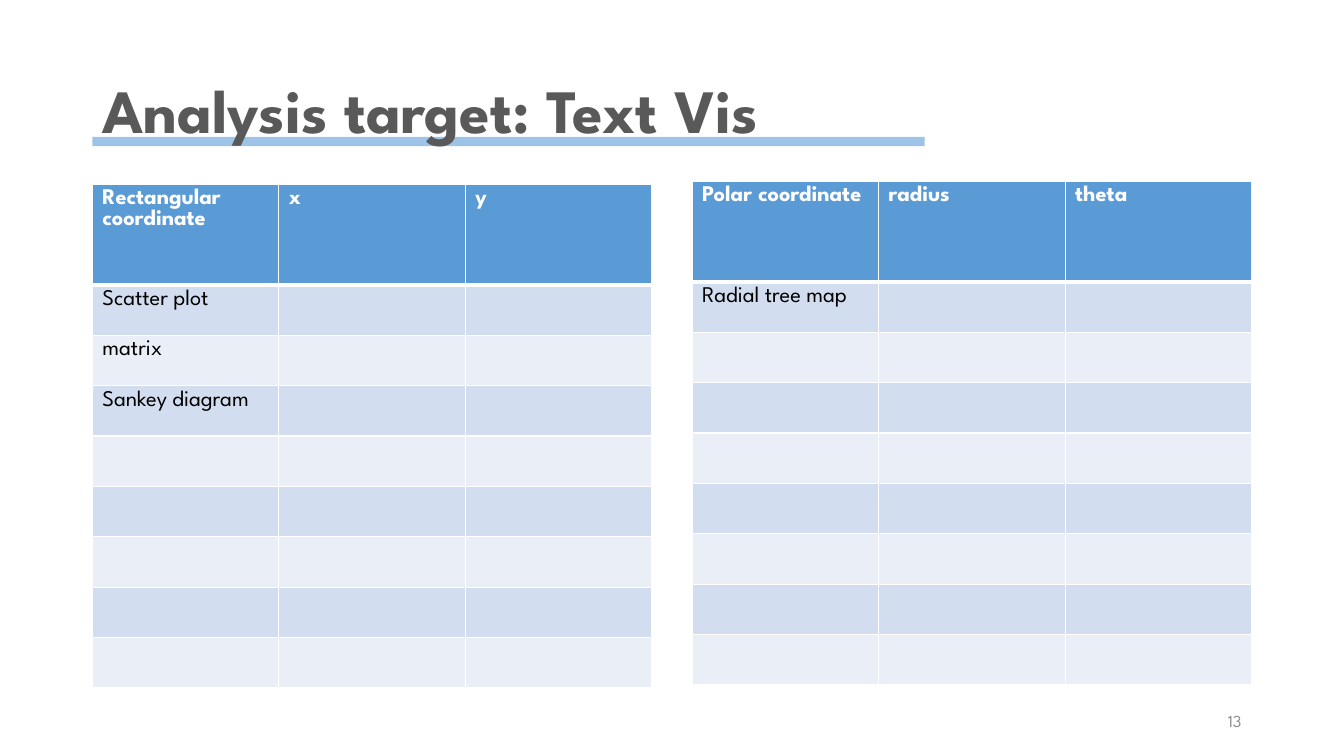
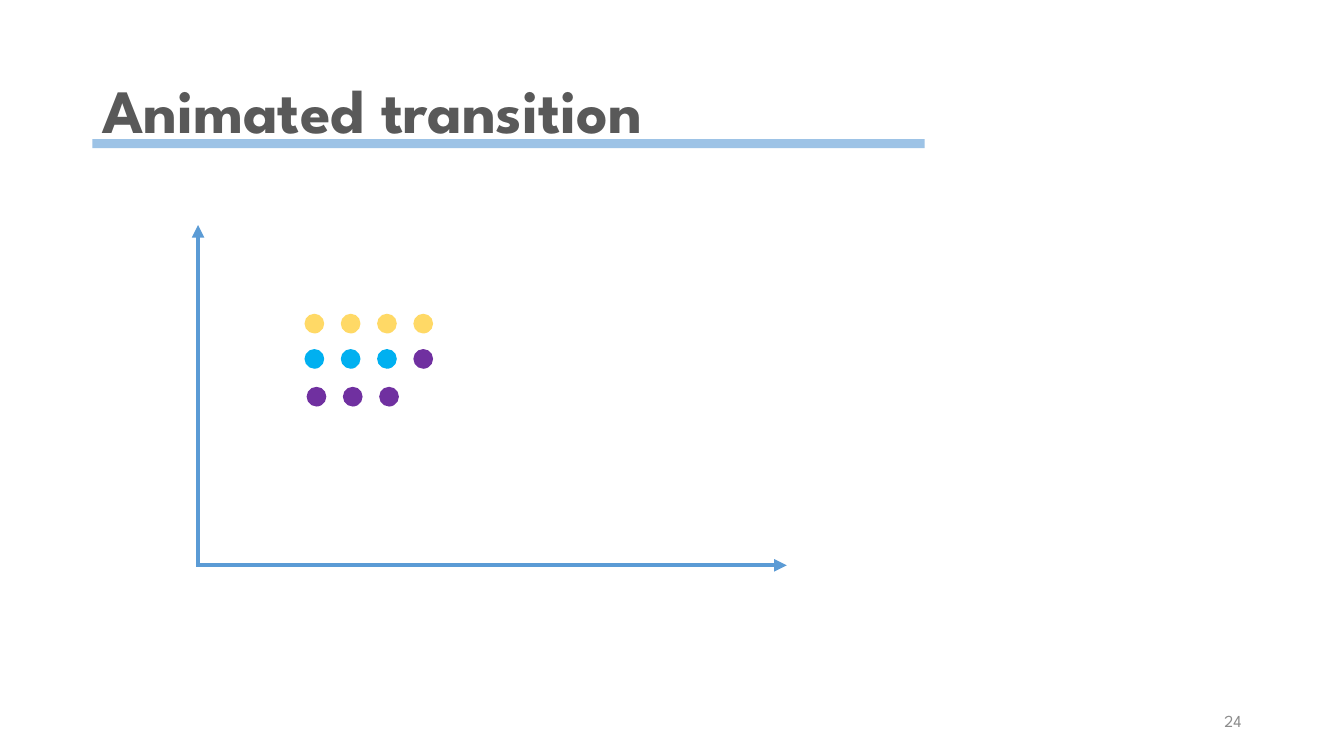
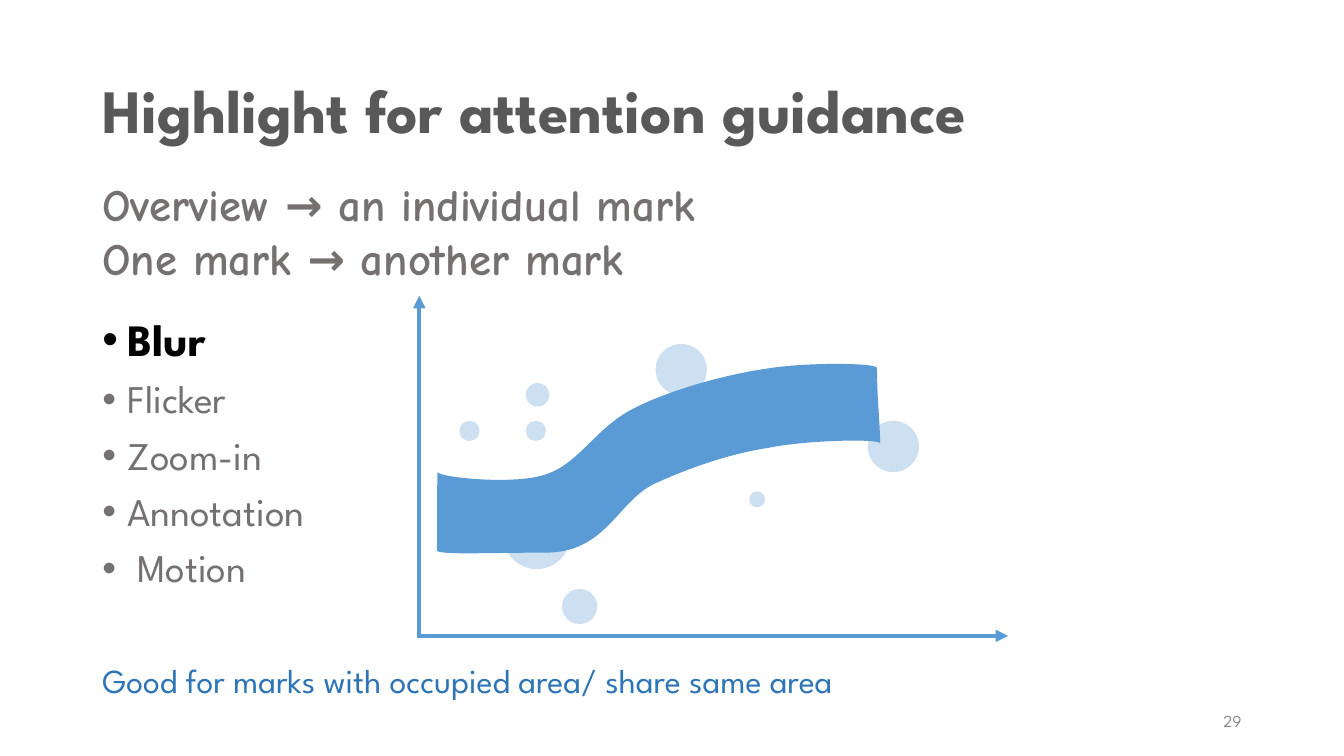
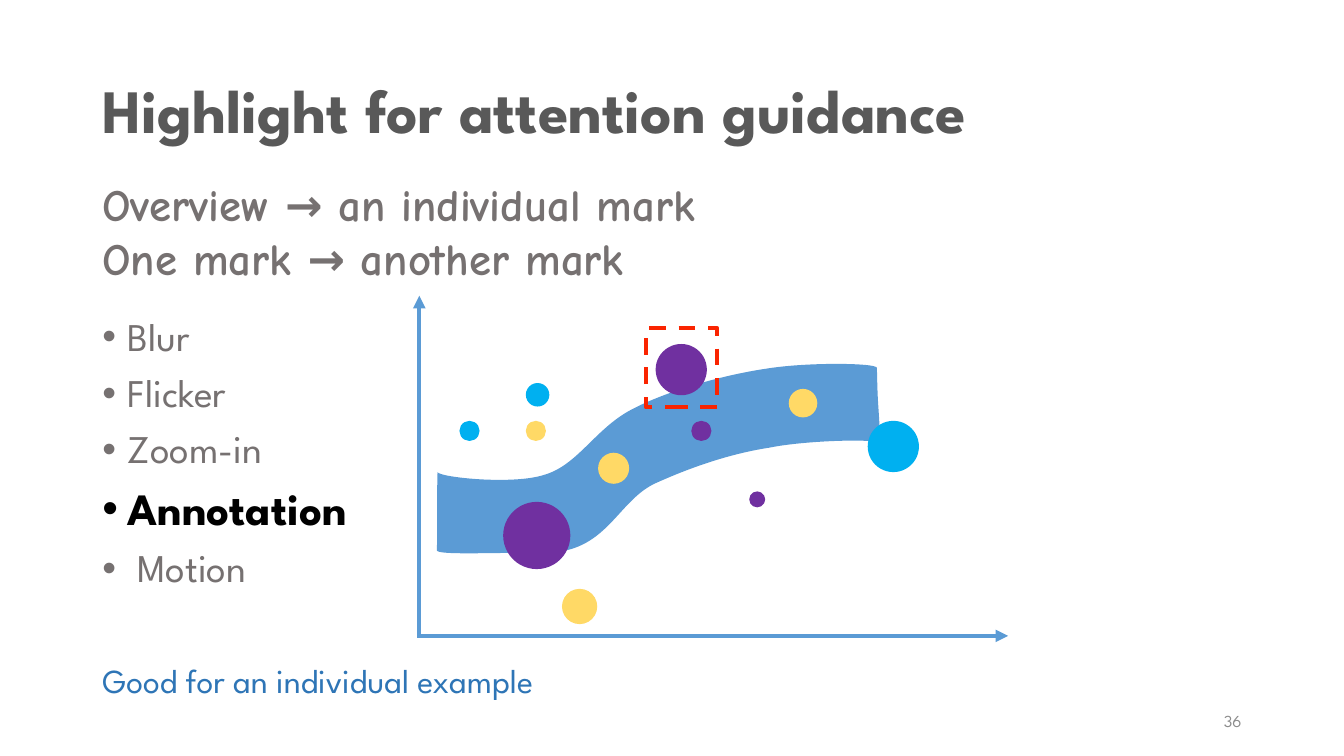
from dataclasses import dataclass
from typing import NamedTuple, Optional

from lxml.etree import SubElement
from pptx import Presentation
from pptx.dml.color import RGBColor
from pptx.enum.dml import MSO_LINE
from pptx.enum.shapes import MSO_CONNECTOR, MSO_SHAPE
from pptx.enum.text import MSO_ANCHOR, PP_ALIGN
from pptx.oxml.ns import qn
from pptx.util import Emu, Inches, Pt

BLUE = RGBColor(0x5B, 0x9B, 0xD5)
PALE_BLUE = RGBColor(0x9D, 0xC3, 0xE6)
DEEP_BLUE = RGBColor(0x2E, 0x75, 0xB6)
BAND_DARK = RGBColor(0xD2, 0xDE, 0xEF)
BAND_LIGHT = RGBColor(0xEA, 0xEF, 0xF7)
YELLOW = RGBColor(0xFF, 0xD9, 0x66)
CYAN = RGBColor(0x00, 0xB0, 0xF0)
PURPLE = RGBColor(0x70, 0x30, 0xA0)
RED = RGBColor(0xFA, 0x24, 0x00)
WHITE = RGBColor(0xFF, 0xFF, 0xFF)
BLACK = RGBColor(0x00, 0x00, 0x00)
TITLE_GREY = RGBColor(0x59, 0x59, 0x59)
TEXT_GREY = RGBColor(0x76, 0x71, 0x71)
NUMBER_GREY = RGBColor(0x8C, 0x8C, 0x8C)

SPARTAN = "League Spartan"
COMIC = "Comic Neue"

GRID_COLUMNS, GRID_ROWS = 160, 90
CELL = Inches(7.5) / GRID_ROWS


class Box(NamedTuple):
    left: float
    top: float
    width: float
    height: float


class Style(NamedTuple):
    size: float
    colour: RGBColor
    bold: bool = False
    name: str = SPARTAN


class Dot(NamedTuple):
    left: float
    top: float
    size: float
    colour: RGBColor


@dataclass
class CoordinateTable:
    left: float
    top: float
    header: list[str]
    labels: list[str]


@dataclass
class Highlight:
    number: int
    technique: str
    note: str
    blurred: bool = False
    frame: Optional[Box] = None


TITLE_BOX = Box(11, 4.8, 138, 17.4)
NUMBER_BOX = Box(113, 83.4, 36, 4.8)
MARKS_BOX = Box(11, 20.5, 88.1, 14.2)
TECHNIQUES_BOX = Box(11, 37.2, 138, 43.9)
NOTE_BOX = Box(11, 78, 111.2, 6)

TITLE = Style(44, TITLE_GREY, True)
NUMBER = Style(12, NUMBER_GREY)
MARKS = Style(32, TEXT_GREY, True, COMIC)
TECHNIQUE = Style(28, TEXT_GREY)
ACTIVE_TECHNIQUE = Style(32, BLACK, True)
NOTE = Style(24, DEEP_BLUE)
HEADER_CELL = Style(16, WHITE, True)
BODY_CELL = Style(16, BLACK)

TABLE_COLUMNS, TABLE_ROWS = 3, 9
COLUMN_WIDTH, ROW_HEIGHT = 22.2, 6

TABLES = [
    CoordinateTable(11, 21.9, ["Rectangular coordinate", "x", "y"],
                    ["Scatter plot", "matrix", "Sankey diagram"]),
    CoordinateTable(82.4, 21.55, ["Polar coordinate", "radius", "theta"], ["Radial tree map"]),
]

DOT_SIZE, DOT_PITCH = 2.35, 4.32
DOT_ROWS = [
    (36.25, 37.35, [YELLOW] * 4),
    (36.25, 41.55, [CYAN] * 3 + [PURPLE]),
    (36.5, 46.05, [PURPLE] * 3),
]

TECHNIQUES = ["Blur", "Flicker", "Zoom-in", "Annotation", " Motion"]

BUBBLES = [
    Dot(62.6, 50.1, 2.4, YELLOW),
    Dot(66.9, 70.1, 4.2, YELLOW),
    Dot(71.2, 53.9, 3.7, YELLOW),
    Dot(62.6, 45.6, 2.8, CYAN),
    Dot(54.7, 50.1, 2.4, CYAN),
    Dot(103.3, 50.1, 6.1, CYAN),
    Dot(59.9, 59.75, 8, PURPLE),
    Dot(78.05, 40.95, 6.1, PURPLE),
    Dot(82.3, 50.1, 2.4, PURPLE),
    Dot(89.2, 58.5, 1.9, PURPLE),
    Dot(93.9, 46.3, 3.4, YELLOW),
]

RIBBON_START = (52.1, 56.2)
RIBBON_CURVES = [
    ((52.1, 56.8), (61.1, 57.8), (64.9, 56.5)),
    ((68.9, 55.3), (71, 50.8), (75.5, 48.6)),
    ((79.8, 46.4), (86.4, 44.6), (91.2, 43.9)),
    ((96, 43.1), (104.4, 43.2), (104.4, 43.8)),
    ((104.5, 49), (104.6, 47.6), (104.8, 52.8)),
    ((104.8, 52.2), (96, 52.4), (91.6, 53.3)),
    ((87, 54), (82.3, 55.6), (77.9, 57.6)),
    ((73.4, 59.8), (72.2, 65.8), (64.9, 65.8)),
    ((57.7, 65.8), (52, 66.1), (52, 65.5)),
    ((52.1, 64.4), (52, 57.2), RIBBON_START),
]

HIGHLIGHTS = [
    Highlight(29, "Blur", "Good for marks with occupied area/ share same area", blurred=True),
    Highlight(36, "Annotation", "Good for an individual example", frame=Box(76.9, 39.1, 8.5, 9.4)),
]


def grid(units: float) -> Emu:
    return Emu(round(units * CELL))


def place(box: Box) -> list[Emu]:
    return [grid(units) for units in box]


def set_font(paragraph, style: Style) -> None:
    font = paragraph.font
    font.name, font.size, font.bold = style.name, Pt(style.size), style.bold
    font.color.rgb = style.colour


def add_text(slide, box: Box, lines: list[str], style: Style, anchor=MSO_ANCHOR.TOP) -> list:
    frame = slide.shapes.add_textbox(*place(box)).text_frame
    frame.word_wrap = True
    frame.vertical_anchor = anchor
    frame.text = "\n".join(lines)
    for paragraph in frame.paragraphs:
        set_font(paragraph, style)
    return list(frame.paragraphs)


def paint(shape, colour: RGBColor) -> None:
    shape.shadow.inherit = False
    shape.fill.solid()
    shape.fill.fore_color.rgb = colour
    shape.line.fill.background()


def add_dot(slide, dot: Dot, blurred: bool = False) -> None:
    shape = slide.shapes.add_shape(MSO_SHAPE.OVAL, *place(Box(dot.left, dot.top, dot.size, dot.size)))
    paint(shape, BLUE if blurred else dot.colour)
    if blurred:
        colour = next(shape._element.spPr.iter(qn("a:srgbClr")))
        SubElement(colour, qn("a:alpha"), val="31000")


def add_rule(slide, top: float) -> None:
    paint(slide.shapes.add_shape(MSO_SHAPE.RECTANGLE, *place(Box(11, top, 99.1, 1.1))), PALE_BLUE)


def add_arrow(slide, start: tuple[float, float], end: tuple[float, float]) -> None:
    arrow = slide.shapes.add_connector(MSO_CONNECTOR.STRAIGHT, *place(Box(*start, *end)))
    arrow.line.color.rgb = BLUE
    arrow.line.width = Pt(3)
    line = arrow._element.spPr.find(qn("a:ln"))
    SubElement(line, qn("a:tailEnd"), type="triangle")
    SubElement(arrow._element.spPr, qn("a:effectLst"))


def add_axes(slide, left: float, bottom: float) -> None:
    add_arrow(slide, (left, bottom + 0.2), (left, bottom - 40.5))
    add_arrow(slide, (left + 0.1, bottom), (left + 70.1, bottom))


def add_ribbon(slide) -> None:
    builder = slide.shapes.build_freeform(*map(grid, RIBBON_START))
    points = [tuple(map(grid, point)) for curve in RIBBON_CURVES for point in curve]
    builder.add_line_segments(points, close=True)
    ribbon = builder.convert_to_shape()
    segments = list(ribbon._element.iter(qn("a:lnTo")))
    for first, second, last in zip(segments[::3], segments[1::3], segments[2::3]):
        curve = first.makeelement(qn("a:cubicBezTo"), {})
        first.addprevious(curve)
        for segment in (first, second, last):
            curve.append(segment[0])
            segment.getparent().remove(segment)
    paint(ribbon, BLUE)


def add_frame(slide, box: Box) -> None:
    shape = slide.shapes.add_shape(MSO_SHAPE.RECTANGLE, *place(box))
    shape.shadow.inherit = False
    shape.fill.background()
    shape.line.color.rgb = RED
    shape.line.width = Pt(3)
    shape.line.dash_style = MSO_LINE.DASH


def set_borders(cell, header: bool) -> None:
    properties = cell._tc.get_or_add_tcPr()
    for side in "LRTB":
        width = Pt(3) if header and side == "B" else Pt(1)
        line = SubElement(properties, qn(f"a:ln{side}"), w=str(width))
        SubElement(SubElement(line, qn("a:solidFill")), qn("a:srgbClr"), val=str(WHITE))


def add_coordinate_table(slide, content: CoordinateTable) -> None:
    box = Box(content.left, content.top, TABLE_COLUMNS * COLUMN_WIDTH, (TABLE_ROWS + 1) * ROW_HEIGHT)
    table = slide.shapes.add_table(TABLE_ROWS, TABLE_COLUMNS, *place(box)).table
    for column in table.columns:
        column.width = grid(COLUMN_WIDTH)
    texts = dict(enumerate([content.header] + [[label] for label in content.labels]))
    for row_index, row in enumerate(table.rows):
        header = row_index == 0
        row.height = grid(ROW_HEIGHT * (2 if header else 1))
        band = BLUE if header else BAND_DARK if row_index % 2 else BAND_LIGHT
        for cell in row.cells:
            set_borders(cell, header)
            cell.fill.solid()
            cell.fill.fore_color.rgb = band
        for cell, text in zip(row.cells, texts.get(row_index, [])):
            cell.text = text
            set_font(cell.text_frame.paragraphs[0], HEADER_CELL if header else BODY_CELL)


def add_techniques(slide, active: str) -> None:
    paragraphs = add_text(slide, TECHNIQUES_BOX, TECHNIQUES, TECHNIQUE)
    for index, (paragraph, technique) in enumerate(zip(paragraphs, TECHNIQUES)):
        properties = paragraph._p.get_or_add_pPr()
        properties.set("marL", str(Inches(0.25)))
        properties.set("indent", str(-Inches(0.25)))
        bullet = properties.makeelement(qn("a:buChar"), {"char": "•"})
        properties.insert(0, bullet)
        bullet.addprevious(properties.makeelement(qn("a:buFont"), {"typeface": "Arial"}))
        paragraph.line_spacing = 0.9
        if index:
            paragraph.space_before = Pt(10)
        if technique == active:
            set_font(paragraph, ACTIVE_TECHNIQUE)


def start_slide(presentation, title: str, number: int, rule_top: Optional[float] = None):
    slide = presentation.slides.add_slide(presentation.slide_layouts[6])
    if rule_top is not None:
        add_rule(slide, rule_top)
    add_text(slide, TITLE_BOX, [title], TITLE, MSO_ANCHOR.MIDDLE)[0].line_spacing = 0.9
    add_text(slide, NUMBER_BOX, [str(number)], NUMBER, MSO_ANCHOR.MIDDLE)[0].alignment = PP_ALIGN.RIGHT
    return slide


def build_tables_slide(presentation) -> None:
    slide = start_slide(presentation, "Analysis target: Text Vis", 13, 16.3)
    for content in TABLES:
        add_coordinate_table(slide, content)


def build_transition_slide(presentation) -> None:
    slide = start_slide(presentation, "Animated transition", 24, 16.55)
    add_axes(slide, 23.58, 67.3)
    for left, top, colours in DOT_ROWS:
        for index, colour in enumerate(colours):
            add_dot(slide, Dot(left + index * DOT_PITCH, top, DOT_SIZE, colour))


def build_highlight_slide(presentation, highlight: Highlight) -> None:
    slide = start_slide(presentation, "Highlight for attention guidance", highlight.number)
    add_techniques(slide, highlight.technique)
    add_ribbon(slide)
    add_text(slide, MARKS_BOX, ["Overview → an individual mark", "One mark → another mark"], MARKS)
    add_axes(slide, 49.92, 75.7)
    for bubble in BUBBLES:
        add_dot(slide, bubble, highlight.blurred)
    if highlight.frame:
        add_frame(slide, highlight.frame)
    add_text(slide, NOTE_BOX, [highlight.note], NOTE)


def main() -> None:
    presentation = Presentation()
    presentation.slide_width = grid(GRID_COLUMNS)
    presentation.slide_height = grid(GRID_ROWS)
    build_tables_slide(presentation)
    build_transition_slide(presentation)
    for highlight in HIGHLIGHTS:
        build_highlight_slide(presentation, highlight)
    presentation.save("out.pptx")


if __name__ == "__main__":
    main()
